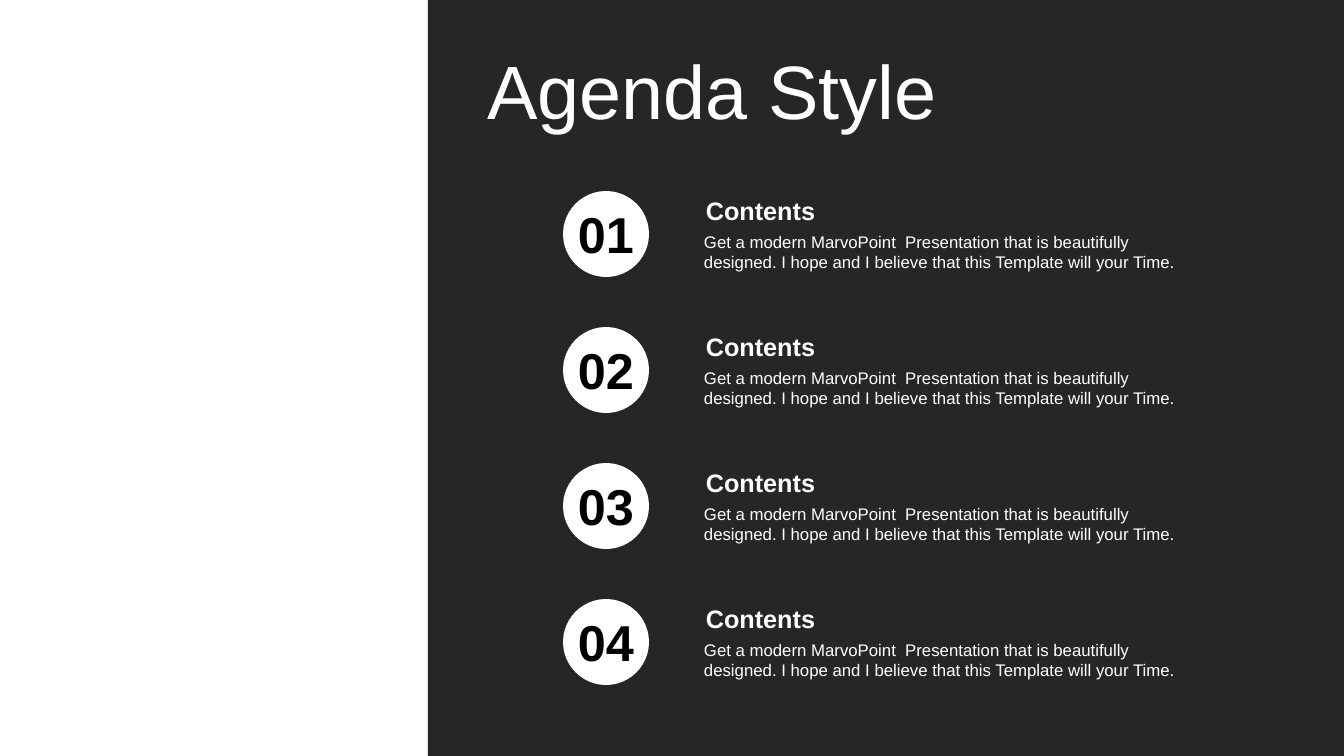
from pptx import Presentation
from pptx.dml.color import RGBColor
from pptx.enum import shapes, text
from pptx.util import Emu, Pt

TITLE = "Agenda Style"
BODY = ("Get a modern MarvoPoint  Presentation that is beautifully "
        "designed. I hope and I believe that this Template will your Time.")
ITEMS = [(num, "Contents", BODY) for num in ("01", "02", "03", "04")]

WHITE = RGBColor(255, 255, 255)
BLACK = RGBColor(0, 0, 0)
DARK = RGBColor(0x26, 0x26, 0x26)

WIDE, HIGH = 1344, 756
PANEL = 428             # left edge of the dark panel
TOP, STEP = 190, 136    # first agenda row and row pitch
DISC = 86


def px(n):
    return Emu(round(n * 914400 / 100.8))


def shape(kind, color, *box):
    item = slide.shapes.add_shape(kind, *map(px, box))
    item.shadow.inherit = False
    item.fill.solid()
    item.fill.fore_color.rgb = color
    item.line.fill.background()


def label(words, box, size, color=WHITE, bold=False, inset=10,
          align=text.PP_ALIGN.LEFT, anchor=text.MSO_ANCHOR.TOP):
    frame = slide.shapes.add_textbox(*map(px, box)).text_frame
    frame.word_wrap = True
    frame.vertical_anchor = anchor
    frame.margin_left = frame.margin_right = px(inset)
    frame.margin_top = frame.margin_bottom = px(5)
    para = frame.paragraphs[0]
    para.text = words
    para.alignment = align
    font = para.font
    font.name, font.size, font.bold = "Arial", Pt(size), bold
    font.color.rgb = color


prs = Presentation()
prs.slide_width, prs.slide_height = px(WIDE), px(HIGH)
slide = prs.slides.add_slide(prs.slide_layouts[6])

# Panel and title
shape(shapes.MSO_SHAPE.RECTANGLE, DARK, PANEL, 0, WIDE - PANEL, HIGH)
label(TITLE, (477, 38, WIDE - 477, 102), 54, anchor=text.MSO_ANCHOR.MIDDLE)

# Agenda rows
for row, (num, head, body) in enumerate(ITEMS):
    y = TOP + row * STEP
    label(body, (694, y + 37, 497, 50), 12)
    label(head, (694, y, 497, 40), 18, bold=True, inset=12)
    shape(shapes.MSO_SHAPE.OVAL, WHITE, 563, y + 1, DISC, DISC)
    label(num, (553, y + 8, 106, 72), 36, BLACK, True, 12,
          text.PP_ALIGN.CENTER)

prs.save("out.pptx")
